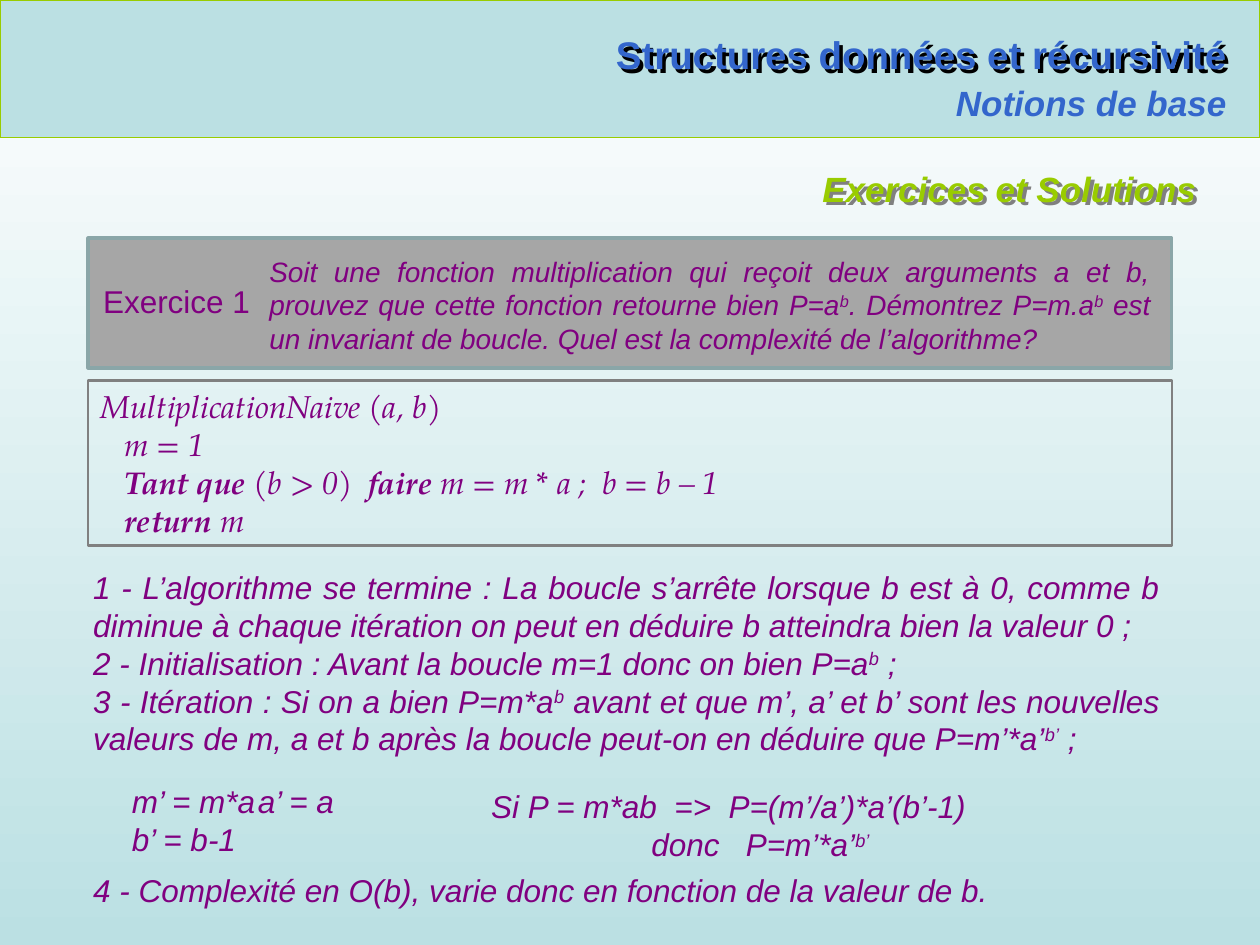
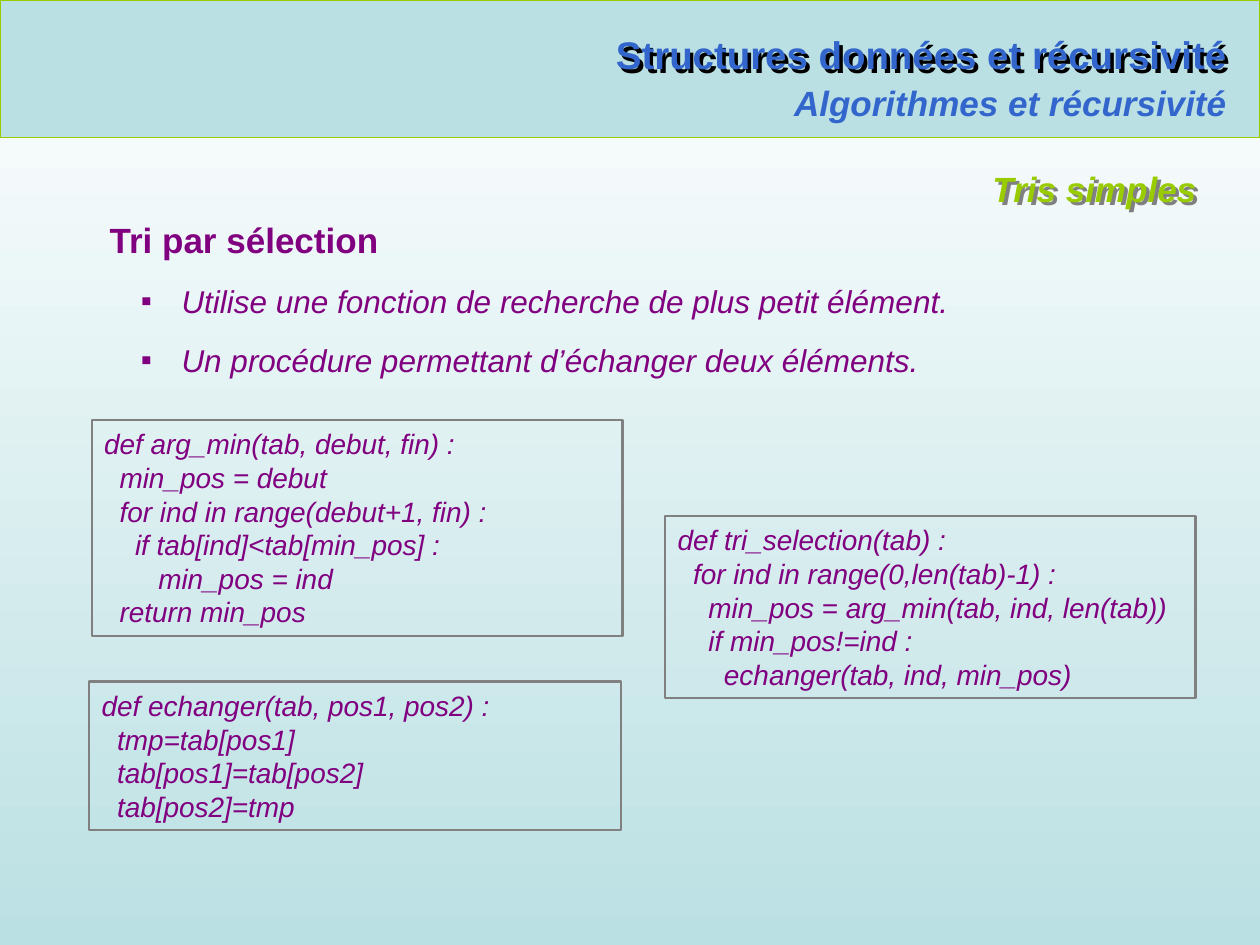
from lxml import etree
from pptx import Presentation
from pptx.dml.color import RGBColor
from pptx.enum.shapes import MSO_CONNECTOR, MSO_SHAPE
from pptx.enum.text import MSO_ANCHOR, MSO_AUTO_SIZE, PP_ALIGN as Align
from pptx.oxml.ns import qn
from pptx.util import Cm, Pt

SLIDE_W, SLIDE_H = 25.4, 19.05
BAND_H = 2.77
RIGHT_EDGE = 24.98
HEADING_RIGHT = 24.37

BLUE, GREEN, PURPLE = "3366CC", "99CC00", "800080"
PALE, WHITE, BLACK = "BBE0E3", "FFFFFF", "000000"
GREY, PANEL, PANEL_EDGE = "808080", "A6A6A6", "8AA6A8"
SANS, SERIF = "Arial", "TeX Gyre Pagella"

# In the texts, "|" separates runs; "^" opens a superscript run, "*" a bold one.
COURSE = "Structures données et récursivité"

EXERCISE_LABEL = "Exercice 1"
EXERCISE = ("Soit une fonction multiplication qui reçoit deux arguments a et b, prouvez que "
            "cette fonction retourne bien P=a|^b|. Démontrez P=m.a|^b| est un invariant de "
            "boucle. Quel est la complexité de l’algorithme?")
NAIVE_MULTIPLICATION = [
    "MultiplicationNaive (a, b)",
    "   m = 1",
    "   |*Tant que |(b > 0)  |*faire| m = m * a ;  b = b – 1",
    "   |*return |m",
]
PROOF = [
    "1 - L’algorithme se termine : La boucle s’arrête lorsque b est à 0, comme b diminue à "
    "chaque itération on peut en déduire b atteindra bien la valeur 0 ;",
    "2 - Initialisation : Avant la boucle m=1 donc on bien P=a|^b| ;",
    "3 - Itération : Si on a bien P=m*a|^b| avant et que m’, a’ et b’ sont les nouvelles "
    "valeurs de m, a et b après la boucle peut-on en déduire que P=m’*a’|^b’| ;",
    "4 - Complexité en O(b), varie donc en fonction de la valeur de b.",
]
NEW_VALUES = ["m’ = m*a\ta’ = a", "b’ = b-1"]
DEDUCTION = ["Si P = m*ab  =>  P=(m’/a’)*a’(b’-1)", "donc   P=m’*a’|^b’"]

SORT_TITLE = "Tri par sélection"
SORT_POINTS = [
    "Utilise une fonction de recherche de plus petit élément.",
    "Un procédure permettant d’échanger deux éléments.",
]
SORT_FUNCTIONS = [  # left, top, width, height, code
    (1.85, 8.46, 10.7, 4.36, [
        "def arg_min(tab, debut, fin) :",
        "  min_pos = debut",
        "  for ind in range(debut+1, fin) :",
        "    if tab[ind]<tab[min_pos] :",
        "       min_pos = ind",
        "  return min_pos",
    ]),
    (1.8, 13.74, 10.72, 2.99, [
        "def echanger(tab, pos1, pos2) :",
        "  tmp=tab[pos1]",
        "  tab[pos1]=tab[pos2]",
        "  tab[pos2]=tmp",
    ]),
    (13.41, 10.4, 10.69, 3.67, [
        "def tri_selection(tab) :",
        "  for ind in range(0,len(tab)-1) :",
        "    min_pos = arg_min(tab, ind, len(tab))",
        "    if min_pos!=ind :",
        "      echanger(tab, ind, min_pos)",
    ]),
]


def color(hex_value):
    return RGBColor.from_string(hex_value)


def write(shape, lines, size, ink=PURPLE, font=SANS, bold=False, italic=True,
          align=Align.LEFT, wrap=True, margin=0):
    """Fill a shape with marked-up lines and return its paragraphs."""
    frame = shape.text_frame
    frame.word_wrap = wrap
    frame.auto_size = MSO_AUTO_SIZE.SHAPE_TO_FIT_TEXT
    for number, line in enumerate(lines):
        paragraph = frame.add_paragraph() if number else frame.paragraphs[0]
        paragraph.alignment = align
        if margin:
            indent(paragraph, margin)
        for part in line.split("|"):
            run = paragraph.add_run()
            run.text = part.lstrip("^*") if part[0] in "^*" else part
            run.font.name, run.font.size = font, Pt(size)
            run.font.bold = bold or part[0] == "*"
            run.font.italic = italic
            run.font.color.rgb = color(ink)
            if part[0] == "^":
                run.font._element.set("baseline", "30000")
    return frame.paragraphs


def indent(paragraph, margin, first=0):
    properties = paragraph._p.get_or_add_pPr()
    properties.set("marL", str(Cm(margin)))
    properties.set("indent", str(Cm(first)))
    return properties


def add_text(slide, left, top, width, height, lines, size, **style):
    box = slide.shapes.add_textbox(Cm(left), Cm(top), Cm(width), Cm(height))
    return box, write(box, lines, size, **style)


def add_box(slide, left, top, width, height, edge, edge_width, fill=None):
    box = slide.shapes.add_shape(MSO_SHAPE.RECTANGLE, Cm(left), Cm(top), Cm(width), Cm(height))
    box.shadow.inherit = False
    if fill:
        box.fill.solid()
        box.fill.fore_color.rgb = color(fill)
    else:
        box.fill.background()
    box.line.color.rgb = color(edge)
    box.line.width = Pt(edge_width)
    return box


def add_code(slide, left, top, width, height, code, size, font=SANS):
    box = add_box(slide, left, top, width, height, GREY, 1.25)
    box.text_frame.vertical_anchor = MSO_ANCHOR.MIDDLE
    write(box, code, size, font=font)


def cast_shadow(shape, hex_value):
    effects = etree.SubElement(shape._element.spPr, qn("a:effectLst"))
    shadow = etree.SubElement(effects, qn("a:outerShdw"), dist="35921", dir="2700000",
                              algn="ctr", rotWithShape="0")
    etree.SubElement(shadow, qn("a:srgbClr"), val=hex_value)


def add_page(deck, chapter, chapter_width, heading, heading_width):
    """Add a slide with the shared background, band, titles and rule."""
    slide = deck.slides.add_slide(deck.slide_layouts[6])
    background = slide.background.fill
    background.gradient()
    background.gradient_angle = 270
    for stop, shade, position in zip(background.gradient_stops, (WHITE, PALE), (0, 1)):
        stop.color.rgb = color(shade)
        stop.position = position

    add_box(slide, 0, 0, SLIDE_W, BAND_H, GREEN, 0.75, PALE)
    course, _ = add_text(slide, RIGHT_EDGE - 12.97, 0.51, 12.97, 1.19, [COURSE], 22, ink=BLUE,
                         bold=True, italic=False, align=Align.RIGHT, wrap=False)
    cast_shadow(course, BLACK)
    add_text(slide, RIGHT_EDGE - chapter_width, 1.52, chapter_width, 1.12, [chapter], 20,
             ink=BLUE, bold=True, align=Align.RIGHT, wrap=False)

    rule = slide.shapes.add_connector(MSO_CONNECTOR.STRAIGHT, Cm(0.86), Cm(BAND_H),
                                      Cm(24.79), Cm(BAND_H))
    rule.line.color.rgb = color(GREEN)
    rule.line.width = Pt(0.75)
    etree.SubElement(rule._element.spPr, qn("a:effectLst"))

    title, _ = add_text(slide, HEADING_RIGHT - heading_width, 3.25, heading_width, 1.12,
                        [heading], 20, ink=GREEN, bold=True, align=Align.RIGHT)
    cast_shadow(title, GREY)
    return slide


def add_exercise_page(deck):
    slide = add_page(deck, "Notions de base", 6.02, "Exercices et Solutions", 13.7)
    add_box(slide, 1.78, 4.8, 21.84, 2.62, PANEL_EDGE, 2, PANEL)
    add_text(slide, 1.78, 5.56, 3.56, 1.02, [EXERCISE_LABEL], 18, italic=False,
             align=Align.CENTER, wrap=False)
    add_text(slide, 5.18, 5, 18.26, 3, [EXERCISE], 16, align=Align.JUSTIFY)
    add_code(slide, 1.78, 7.67, 21.84, 3.33, NAIVE_MULTIPLICATION, 18, SERIF)

    proof_style = dict(size=18, align=Align.JUSTIFY, margin=1.27)
    _, steps = add_text(slide, 0.36, 11.33, 23.27, 7.19, PROOF, **proof_style)
    steps[-1].space_before = Pt(64.8)
    _, values = add_text(slide, 1.14, 15.65, 7.57, 1.8, NEW_VALUES, **proof_style)
    tabs = etree.SubElement(values[0]._p.get_or_add_pPr(), qn("a:tabLst"))
    etree.SubElement(tabs, qn("a:tab"), pos=str(Cm(4.45)), algn="l")
    _, deduction = add_text(slide, 8.38, 15.75, 15.06, 1.8, DEDUCTION, **proof_style)
    indent(deduction[-1], 4.5)


def add_sort_page(deck):
    slide = add_page(deck, "Algorithmes et récursivité", 9.47, "Tris simples", 10.67)
    _, lines = add_text(slide, 1.96, 4.29, 22.6, 3.5, [SORT_TITLE, *SORT_POINTS], 18,
                        align=Align.JUSTIFY)
    for line in lines:
        line.space_after = Pt(12)
    title = lines[0].runs[0].font
    title.size, title.bold, title.italic = Pt(20), True, False
    for point in lines[1:]:
        properties = indent(point, 1.45, -0.82)
        etree.SubElement(properties, qn("a:buFont"), typeface=SANS)
        etree.SubElement(properties, qn("a:buChar"), char="▪")
    for left, top, width, height, code in SORT_FUNCTIONS:
        add_code(slide, left, top, width, height, code, 16)


def main():
    deck = Presentation()
    deck.slide_width, deck.slide_height = Cm(SLIDE_W), Cm(SLIDE_H)
    add_exercise_page(deck)
    add_sort_page(deck)
    deck.save("out.pptx")


if __name__ == "__main__":
    main()
